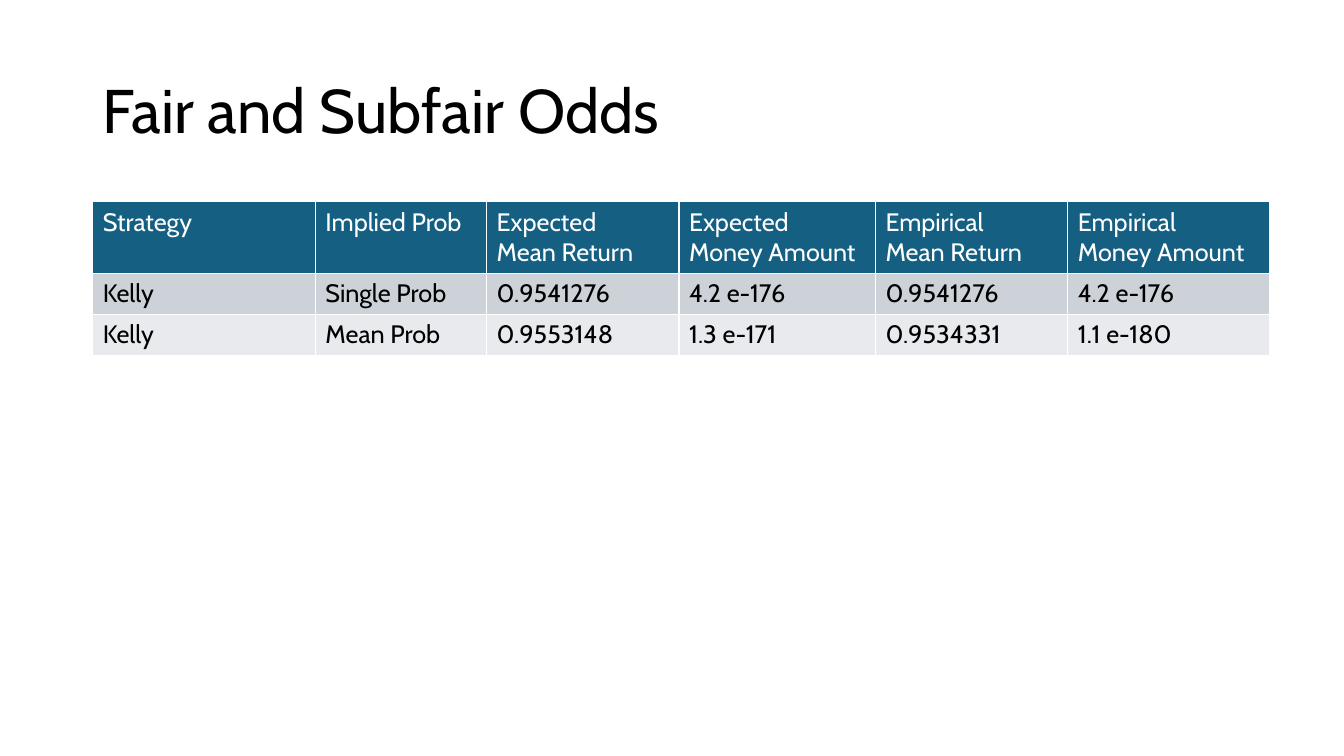
import dataclasses

import pptx
import pptx.dml.color
import pptx.enum.text
import pptx.util


@dataclasses.dataclass(frozen=True)
class Theme:
    font: str = "Cabin"
    title_size: int = 44
    table_size: int = 18
    dark: str = "000000"
    light: str = "FFFFFF"
    header_fill: str = "156082"
    band_fills: tuple = ("CCD2D8", "E8EAED")


THEME = Theme()
SLIDE_SIZE = (13.33, 7.5)

# Regions: left, top, width, height in inches
TITLE_BOX = (0.92, 0.4, 11.5, 1.45)
TABLE_BOX = (0.92, 2, 11.67, 1.51)

COLUMN_WEIGHTS = (2.21, 1.7, 1.91, 1.95, 1.91, 2)
ROW_WEIGHTS = (0.7, 0.41, 0.41)

ODDS_ROWS = (
    ("Strategy", "Implied Prob", "Expected\nMean Return", "Expected\nMoney Amount",
     "Empirical\nMean Return", "Empirical\nMoney Amount"),
    ("Kelly", "Single Prob", "0.9541276", "4.2 e-176", "0.9541276", "4.2 e-176"),
    ("Kelly", "Mean Prob", "0.9553148", "1.3 e-171", "0.9534331", "1.1 e-180"),
)


def rgb(color):
    return pptx.dml.color.RGBColor.from_string(color)


def inches(box):
    return [pptx.util.Inches(length) for length in box]


def set_text(text_frame, text, size, color):
    text_frame.text = text
    for paragraph in text_frame.paragraphs:
        paragraph.alignment = pptx.enum.text.PP_ALIGN.LEFT
        for run in paragraph.runs:
            run.font.name = THEME.font
            run.font.size = pptx.util.Pt(size)
            run.font.bold = False
            run.font.color.rgb = rgb(color)


def share_lengths(items, attribute, total, weights):
    """Divide a total length among columns or rows by weight."""
    for item, weight in zip(items, weights):
        setattr(item, attribute, int(total * weight / sum(weights)))


def add_title(slide, box, text):
    title = slide.shapes.title
    title.left, title.top, title.width, title.height = inches(box)
    text_frame = title.text_frame
    set_text(text_frame, text, THEME.title_size, THEME.dark)
    text_frame.word_wrap = True
    text_frame.auto_size = pptx.enum.text.MSO_AUTO_SIZE.NONE
    text_frame.vertical_anchor = pptx.enum.text.MSO_ANCHOR.MIDDLE
    text_frame.paragraphs[0].line_spacing = 0.9


def add_odds_table(slide, box, rows):
    left, top, width, height = inches(box)
    table = slide.shapes.add_table(
        len(rows), len(rows[0]), left, top, width, height).table
    share_lengths(table.columns, "width", width, COLUMN_WEIGHTS)
    share_lengths(table.rows, "height", height, ROW_WEIGHTS)

    # Header row first, then alternating bands
    for row_index, row in enumerate(rows):
        is_header = row_index == 0
        fill = THEME.header_fill if is_header else THEME.band_fills[(row_index - 1) % 2]
        color = THEME.light if is_header else THEME.dark
        for column_index, text in enumerate(row):
            cell = table.cell(row_index, column_index)
            cell.fill.solid()
            cell.fill.fore_color.rgb = rgb(fill)
            set_text(cell.text_frame, text, THEME.table_size, color)


def main():
    presentation = pptx.Presentation()
    presentation.slide_width, presentation.slide_height = inches(SLIDE_SIZE)
    title_only = presentation.slide_layouts.get_by_name("Title Only")
    slide = presentation.slides.add_slide(title_only)
    add_title(slide, TITLE_BOX, "Fair and Subfair Odds")
    add_odds_table(slide, TABLE_BOX, ODDS_ROWS)
    presentation.save("out.pptx")


if __name__ == "__main__":
    main()
